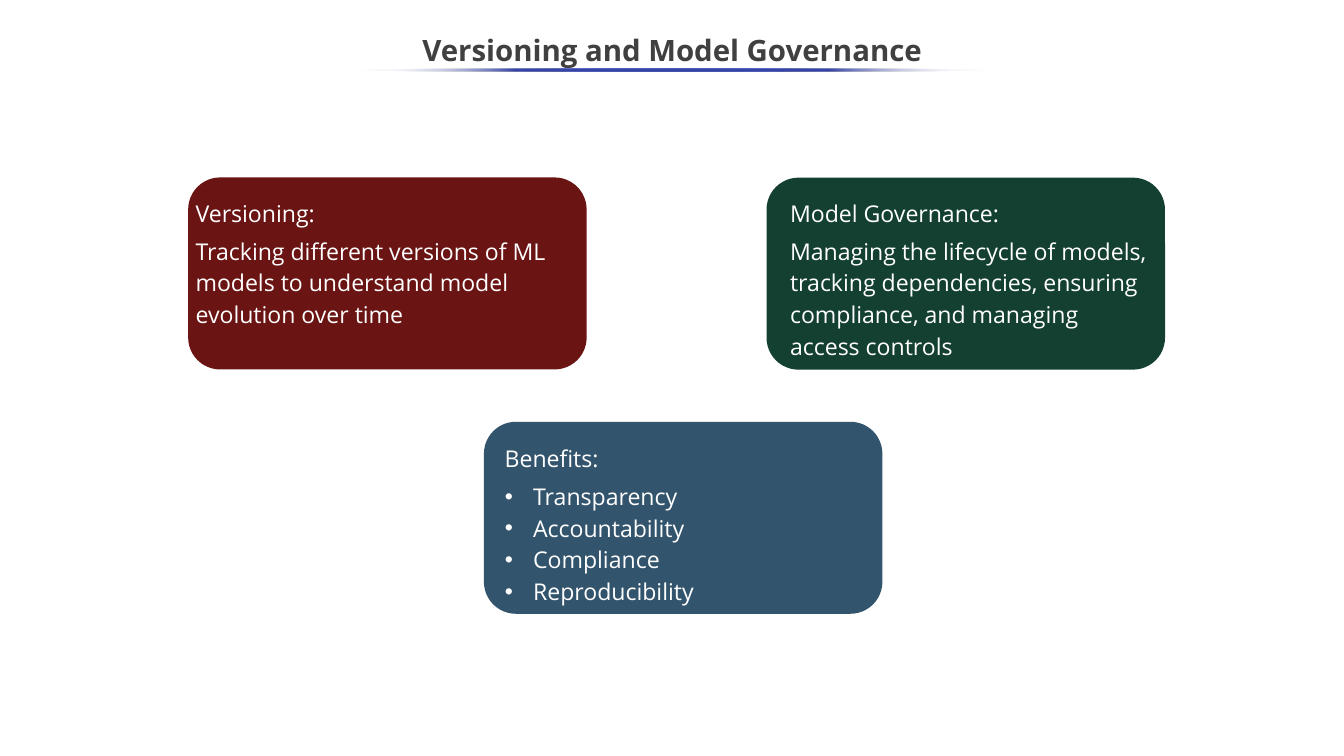
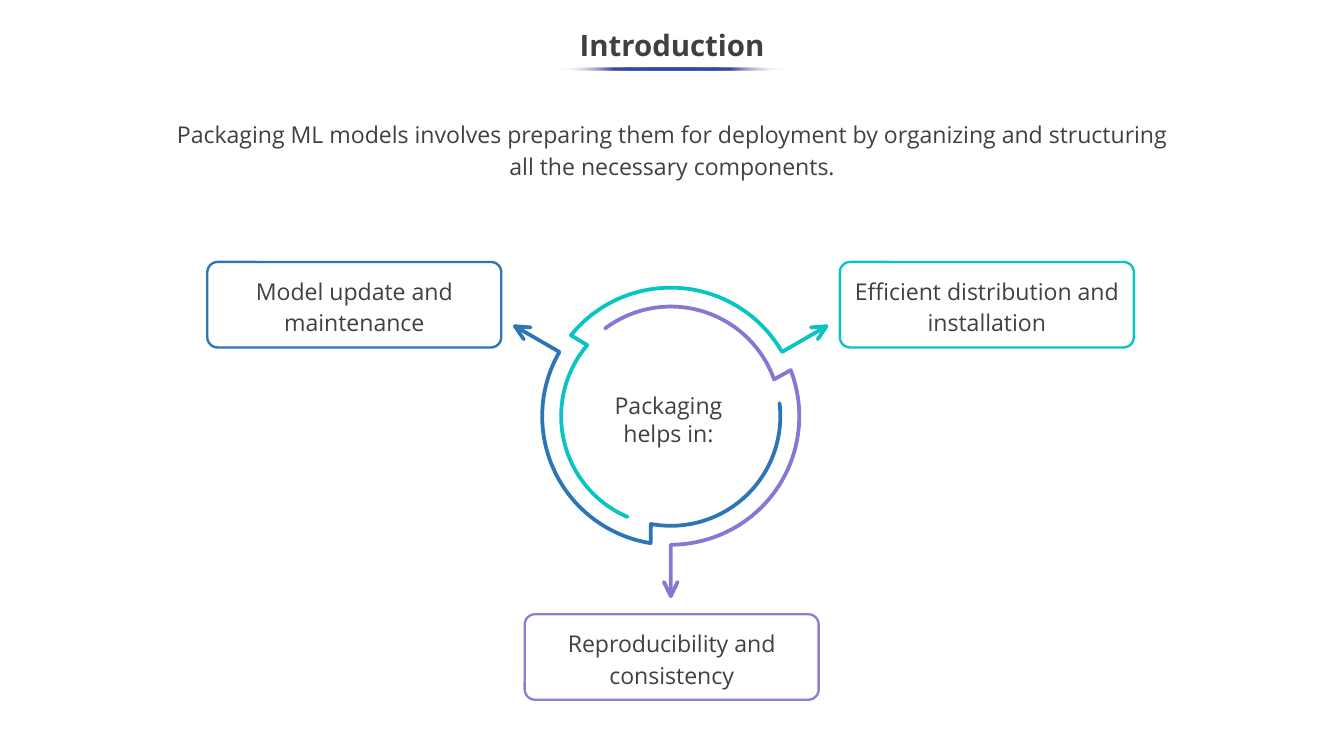
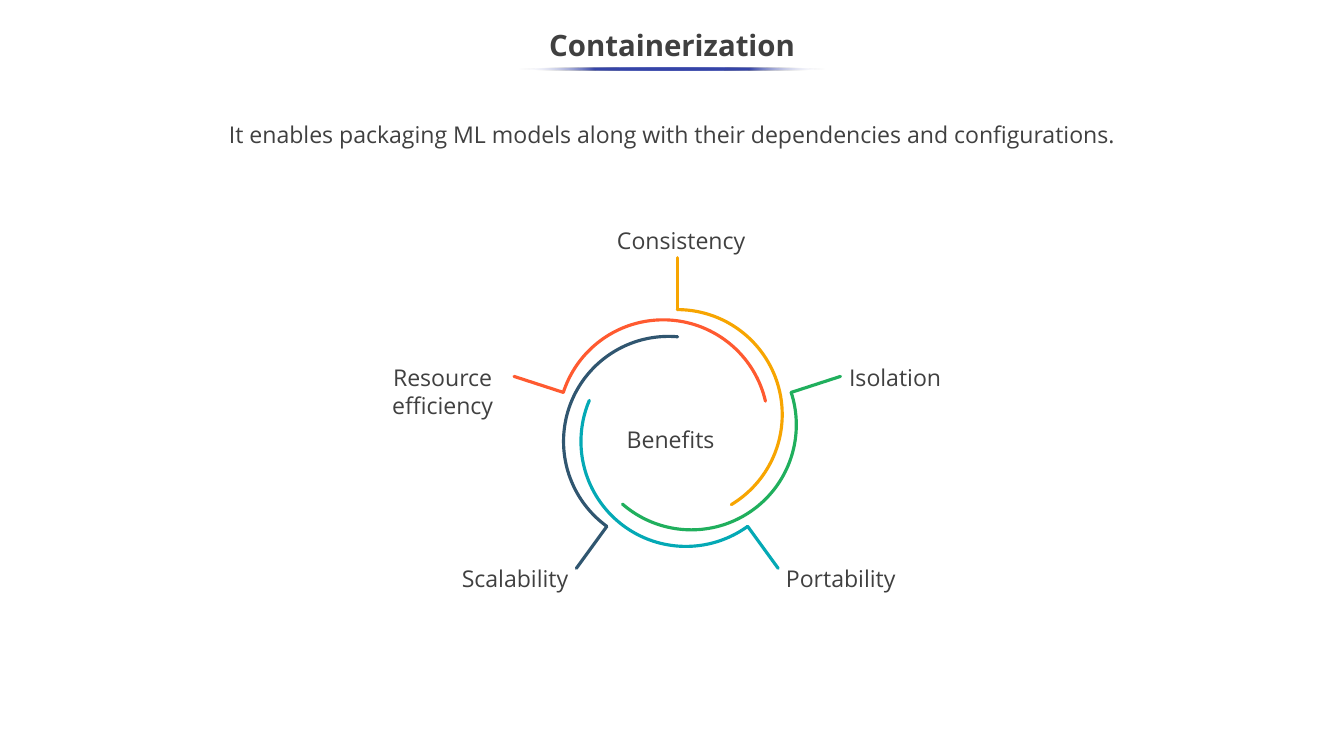
from dataclasses import dataclass, replace
from math import ceil, cos, radians, sin, tan
from typing import NamedTuple

from lxml.etree import SubElement
from pptx import Presentation
from pptx.dml.color import RGBColor
from pptx.enum.shapes import MSO_CONNECTOR as Connector
from pptx.enum.shapes import MSO_SHAPE as Preset
from pptx.enum.text import MSO_ANCHOR as Anchor
from pptx.enum.text import MSO_AUTO_SIZE as AutoSize
from pptx.enum.text import PP_ALIGN as Align
from pptx.oxml import parse_xml
from pptx.oxml.ns import nsdecls, qn
from pptx.util import Pt


@dataclass(frozen=True)
class Theme:
    font: str = "Open Sans"
    title_size: float = 28
    text_size: float = 22
    ink: str = "404040"
    white: str = "FFFFFF"
    accent: str = "3645A9"
    maroon: str = "6A1514"
    forest: str = "144031"
    slate: str = "33546D"
    blue: str = "2E75B6"
    teal: str = "08C4C2"
    purple: str = "8578D4"
    lilac: str = "8C80D6"
    orange: str = "F7A501"
    green: str = "20AF5D"
    cyan: str = "04A9B5"
    navy: str = "305670"
    coral: str = "FF5A30"


THEME = Theme()


class Point(NamedTuple):
    x: float
    y: float

    def polar(self, radius: float, degrees: float) -> "Point":
        """The point at a distance and clockwise angle from this one."""
        angle = radians(degrees)
        return Point(self.x + radius * cos(angle), self.y + radius * sin(angle))


class Area(NamedTuple):
    left: float
    top: float
    width: float
    height: float

    def lengths(self) -> list:
        return [Pt(value) for value in self]


# One point is a straight step, three points are a cubic curve
Step = tuple[Point, ...]


@dataclass(frozen=True)
class TextStyle:
    color: str = THEME.ink
    size: float = THEME.text_size
    bold: bool = False
    align: Align = Align.CENTER
    spacing: float = 1.15
    margin: float = 0
    hanging: float = 0
    inset: float = 3.6


@dataclass(frozen=True)
class Card:
    left: float
    top: float
    color: str
    text_left: float
    text_top: float
    heading: str
    body_width: float
    body: tuple[str, ...]
    listed: bool = False


@dataclass(frozen=True)
class Branch:
    """A ring segment that leads to a label at the given angle."""
    angle: float
    color: str
    label: str
    area: Area
    outline: str = ""


CENTERED = TextStyle()
PLAIN = TextStyle(align=Align.LEFT)
ON_CARD = replace(PLAIN, color=THEME.white)
CARD_LIST = replace(ON_CARD, margin=27, hanging=-27)
TIGHT = TextStyle(spacing=1.0)
SPOKE_LABEL = replace(TIGHT, margin=7.2, inset=7.2)
TITLE_AREA = Area(-0.7, 18, 1281.6, 54)
SLIDE_WIDTH, SLIDE_HEIGHT = 1280.16, 720

# Slide 1 content
CARD_WIDTH, CARD_HEIGHT = 379.6, 182.9
CARDS = (
    Card(179.2, 169, THEME.maroon, 179.2, 182.2, "Versioning:", CARD_WIDTH,
         ("Tracking different versions of ML models to understand model "
          "evolution over time",)),
    Card(730.1, 169.2, THEME.forest, 745.5, 182.2, "Model Governance:", 360,
         ("Managing the lifecycle of models, tracking dependencies, ensuring "
          "compliance, and managing access controls",)),
    Card(460.9, 401.7, THEME.slate, 473.6, 415.7, "Benefits:", CARD_WIDTH,
         ("Transparency", "Accountability", "Compliance", "Reproducibility"), True),
)

# Slide 2 content
BOX_WIDTH, BOX_HEIGHT = 280, 81.4
ARROWS = (
    Branch(210, THEME.blue, "Model update and maintenance",
           Area(197.5, 249.5, BOX_WIDTH, BOX_HEIGHT), THEME.blue),
    Branch(330, THEME.teal, "Efficient distribution and installation",
           Area(800, 249.5, BOX_WIDTH, BOX_HEIGHT), THEME.teal),
    Branch(90, THEME.purple, "Reproducibility and consistency",
           Area(499.8, 585, BOX_WIDTH, BOX_HEIGHT), THEME.lilac),
)

# Slide 3 content, in drawing order
SPOKES = (
    Branch(126, THEME.navy, "Scalability", Area(416.5, 529.9, 141, 41)),
    Branch(54, THEME.cyan, "Portability", Area(713.2, 529.9, 168, 41)),
    Branch(-18, THEME.green, "Isolation", Area(780.5, 338.8, 137, 41)),
    Branch(-90, THEME.orange, "Consistency", Area(571.7, 208.1, 147, 41)),
    Branch(198, THEME.coral, "Resource efficiency", Area(347.5, 338.8, 141, 67.7)),
)


def rgb(color: str) -> RGBColor:
    return RGBColor.from_string(color)


def write(box, lines: tuple[str, ...], style: TextStyle, anchor=Anchor.TOP) -> None:
    frame = box.text_frame
    frame.word_wrap = True
    frame.vertical_anchor = anchor
    frame.margin_left = frame.margin_right = Pt(7.2)
    frame.margin_top = frame.margin_bottom = Pt(style.inset)
    for index, line in enumerate(lines):
        para = frame.add_paragraph() if index else frame.paragraphs[0]
        para.alignment = style.align
        para.line_spacing = style.spacing
        para.space_before = Pt(0)
        if style.margin:
            properties = para._p.get_or_add_pPr()
            properties.set("marL", str(Pt(style.margin)))
            properties.set("indent", str(Pt(style.hanging)))
        span = para.add_run()
        span.text = line
        span.font.name = THEME.font
        span.font.size = Pt(style.size)
        span.font.bold = style.bold
        span.font.color.rgb = rgb(style.color)


def add_text(page, area: Area, text: str, style: TextStyle) -> None:
    box = page.shapes.add_textbox(*area.lengths())
    write(box, (text,), style)
    box.text_frame.auto_size = AutoSize.SHAPE_TO_FIT_TEXT


def place(box, area: Area) -> None:
    box.left, box.top, box.width, box.height = area.lengths()


def add_preset(page, preset: Preset, area: Area):
    shape = page.shapes.add_shape(preset, *area.lengths())
    shape.shadow.inherit = False
    shape.fill.background()
    shape.line.fill.background()
    return shape


def style_stroke(line, color: str, width: float) -> None:
    line.color.rgb = rgb(color)
    line.width = Pt(width)
    outline = line._get_or_add_ln()
    outline.set("cap", "rnd")
    SubElement(outline, qn("a:round"))


def add_stroke(page, start: Point, steps: list[Step], color: str, width: float) -> None:
    """Draw an open outline of straight and curved steps."""
    builder = page.shapes.build_freeform(Pt(start.x), Pt(start.y), scale=1.0)
    builder.add_line_segments([(Pt(x), Pt(y)) for step in steps for x, y in step],
                              close=False)
    shape = builder.convert_to_shape()
    shape.shadow.inherit = False
    shape.fill.background()
    style_stroke(shape.line, color, width)

    # Join each three points of a curved step into one cubic curve
    outline = next(shape._element.spPr.iter(qn("a:path")))
    nodes = iter(list(outline)[1:])
    for step in steps:
        group = [next(nodes) for _ in step]
        if len(step) == 1:
            outline.append(group[0])
            continue
        curve = SubElement(outline, qn("a:cubicBezTo"))
        for node in group:
            curve.append(node[0])
            outline.remove(node)


def arc(center: Point, radius: float, start: float, sweep: float) -> list[Step]:
    """Cubic curves of at most 30 degrees along a circle."""
    count = ceil(abs(sweep) / 30)
    turn = sweep / count
    handle = radius * 4 / 3 * tan(radians(turn) / 4)
    steps = []
    for index in range(count):
        begin = start + index * turn
        end = begin + turn
        target = center.polar(radius, end)
        steps.append((center.polar(radius, begin).polar(handle, begin + 90),
                      target.polar(-handle, end + 90), target))
    return steps


def add_page(deck, title: str, rule_width: float, layout: int = 5, spacing: float = 0.9,
             rule_top: float = 64.1):
    """Add a slide with its centred title and the fading rule below it."""
    page = deck.slides.add_slide(deck.slide_layouts[layout])
    heading = page.shapes.title
    place(heading, TITLE_AREA)
    write(heading, (title,), TextStyle(size=THEME.title_size, bold=True, spacing=spacing),
          Anchor.MIDDLE)
    heading.text_frame.auto_size = AutoSize.NONE

    left = (SLIDE_WIDTH - rule_width) / 2
    rule = add_preset(page, Preset.OVAL, Area(left, rule_top, rule_width, 2.9))
    clear = f'<a:srgbClr val="{THEME.white}"><a:alpha val="0"/></a:srgbClr>'
    solid = f'<a:srgbClr val="{THEME.accent}"/>'
    stops = "".join(f'<a:gs pos="{percent * 1000}">{color}</a:gs>' for percent, color in
                    ((0, clear), (25, solid), (50, solid), (75, solid), (100, clear)))
    properties = rule._element.spPr
    properties.replace(properties.find(qn("a:noFill")), parse_xml(
        f'<a:gradFill {nsdecls("a")}><a:gsLst>{stops}</a:gsLst>'
        '<a:lin ang="10800000" scaled="0"/></a:gradFill>'))
    return page


def add_card(page, card: Card) -> None:
    shape = add_preset(page, Preset.ROUNDED_RECTANGLE,
                       Area(card.left, card.top, CARD_WIDTH, CARD_HEIGHT))
    shape.fill.solid()
    shape.fill.fore_color.rgb = rgb(card.color)
    add_text(page, Area(card.text_left, card.text_top, 228, 36), card.heading, ON_CARD)
    area = Area(card.text_left, card.text_top + 36, card.body_width, 128)
    if card.listed:
        body = page.placeholders[1]
        place(body, area)
        write(body, card.body, CARD_LIST)
        body.text_frame.auto_size = AutoSize.NONE
        page.shapes._spTree.append(body._element)  # bring in front of its card
    else:
        add_text(page, area, card.body[0], ON_CARD)


def add_arrow(page, branch: Branch) -> None:
    """Draw a stepped ring segment with its arrow and its labelled box."""
    center, outer, inner, stroke = Point(638.9, 396.4), 122.4, 104.4, 3.6
    reach = outer + 49
    tip = center.polar(reach, branch.angle)
    back = center.polar(reach - 13.5, branch.angle)
    left, right = [back.polar(6.5, branch.angle + turn) for turn in (-90, 90)]
    add_stroke(page, left, [(tip,), (right,)], branch.color, stroke)
    inner_start = branch.angle - 109.6
    add_stroke(page, tip, [(center.polar(outer, branch.angle),),
                           *arc(center, outer, branch.angle, -111),
                           (center.polar(inner, inner_start),),
                           *arc(center, inner, inner_start, -107.2)],
               branch.color, stroke)

    box = add_preset(page, Preset.ROUNDED_RECTANGLE, branch.area)
    box.adjustments[0] = 0.12
    box.line.color.rgb = rgb(branch.outline)
    box.line.width = Pt(2.25)
    write(box, (branch.label,), CENTERED, Anchor.MIDDLE)


def add_spoke(page, branch: Branch) -> None:
    """Draw a straight spoke, the arc that starts at its foot, and its label."""
    center, corner, radius, stroke = Point(645.1, 409), 114.1, 100, 3
    foot = center.polar(corner, branch.angle)
    arc_center = center.polar(corner - radius, branch.angle)
    add_stroke(page, foot, arc(arc_center, radius, branch.angle, 149),
               branch.color, stroke)
    end = center.polar(corner + 49.4, branch.angle)
    spoke = page.shapes.add_connector(
        Connector.STRAIGHT, *[Pt(value) for value in (*foot, *end)])
    style_stroke(spoke.line, branch.color, stroke)
    SubElement(spoke._element.spPr, qn("a:effectLst"))
    add_text(page, branch.area, branch.label, SPOKE_LABEL)


def main() -> None:
    deck = Presentation()
    deck.slide_width, deck.slide_height = Pt(SLIDE_WIDTH), Pt(SLIDE_HEIGHT)

    # Slide 1: three cards
    page = add_page(deck, "Versioning and Model Governance", 596, layout=1,
                    spacing=1.15, rule_top=65)
    for card in CARDS:
        add_card(page, card)

    # Slide 2: ring of three arrows
    page = add_page(deck, "Introduction", 220.3)
    add_text(page, Area(160.2, 107.3, 960, 67),
             "Packaging ML models involves preparing them for deployment by "
             "organizing and structuring all the necessary components.", CENTERED)
    for branch in ARROWS:
        add_arrow(page, branch)
    add_text(page, Area(559, 369.4, 155.5, 60.5), "Packaging helps in:", TIGHT)

    # Slide 3: ring of five spokes
    page = add_page(deck, "Containerization", 292.3)
    add_text(page, Area(181.4, 107.3, 917.3, 36),
             "It enables packaging ML models along with their dependencies and "
             "configurations.", CENTERED)
    for branch in SPOKES:
        add_spoke(page, branch)
    add_text(page, Area(589.9, 397.8, 100, 36), "Benefits", PLAIN)

    deck.save("out.pptx")


if __name__ == "__main__":
    main()
